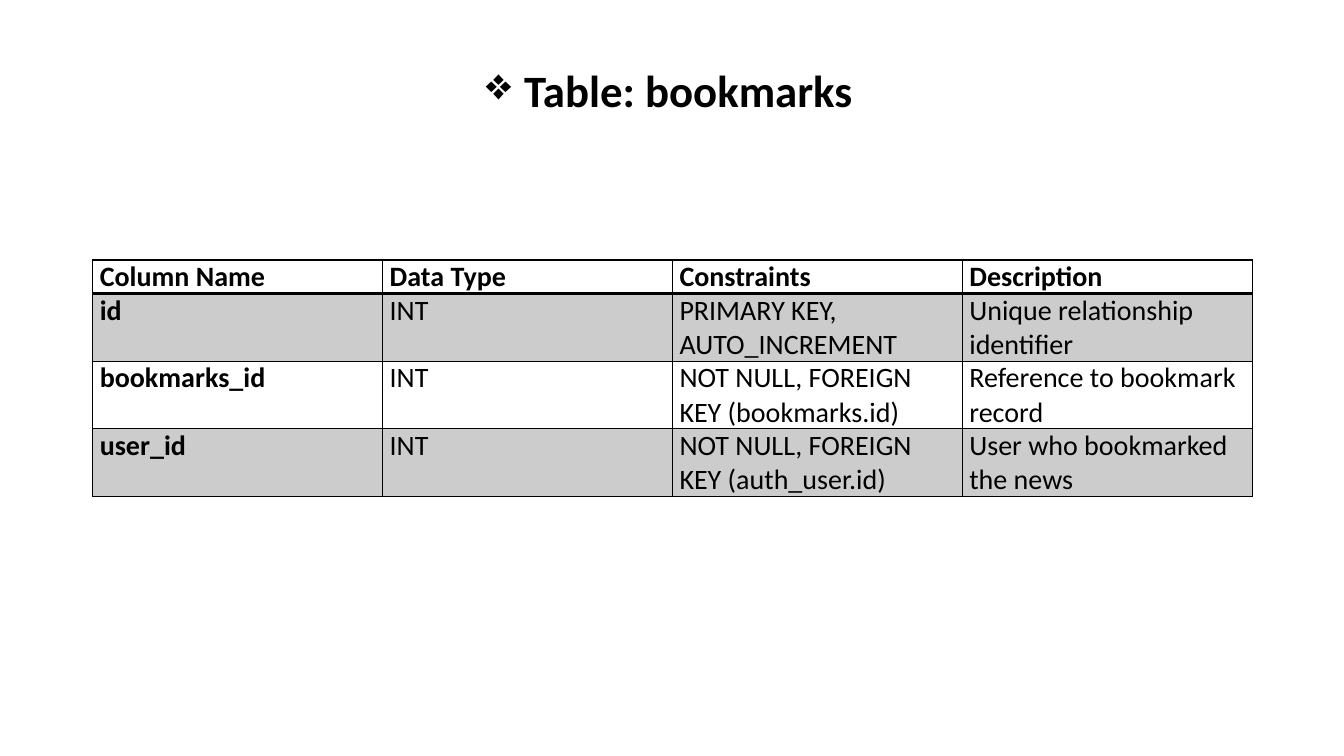
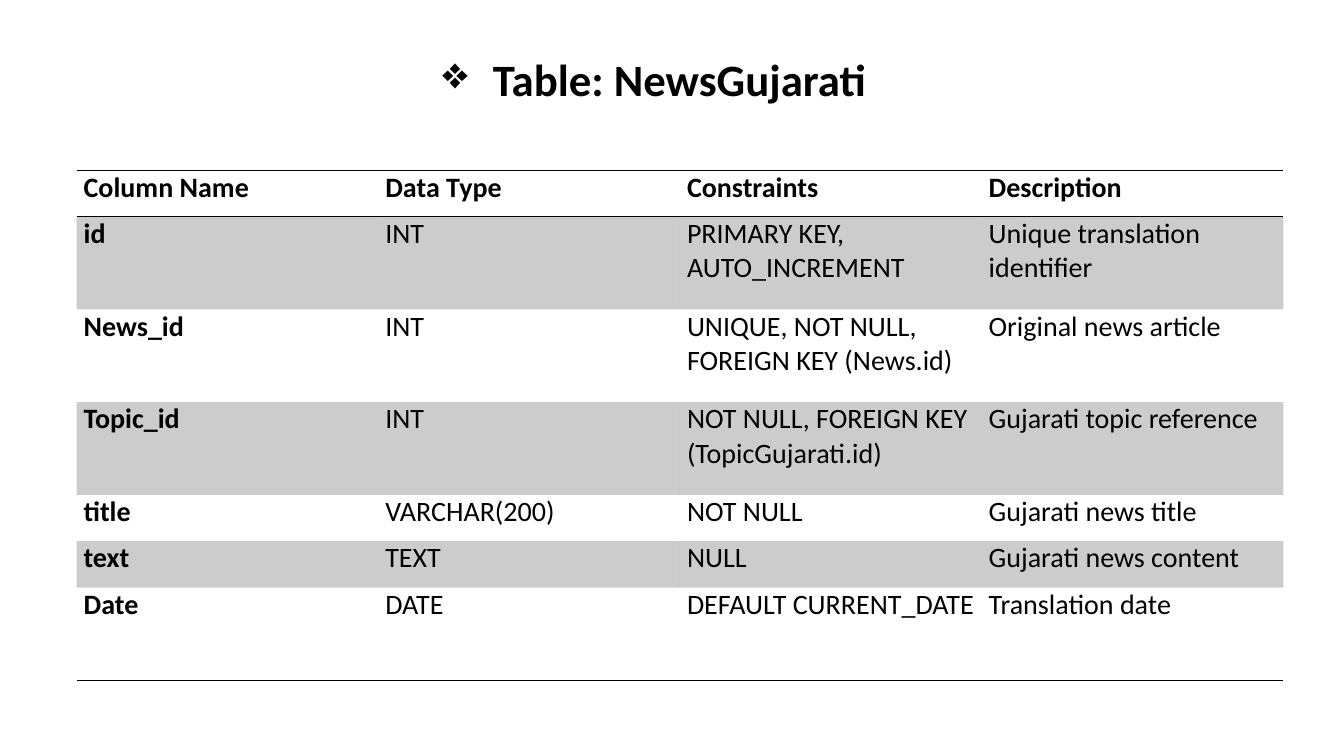
from lxml import etree
from pptx import Presentation
from pptx.dml.color import RGBColor
from pptx.enum.text import MSO_AUTO_SIZE as AutoSize
from pptx.oxml.ns import qn
from pptx.util import Inches, Pt

FONT = "Calibri"
BLACK = "000000"
BAND_OPACITY = 20
TITLE_SIZE, CELL_SIZE = 32, 20
TITLE_HEIGHT = 0.64
CELL_MARGIN = 0.07
NO_STYLE = "{2D5ABB26-0587-4C30-8999-92F81FD0307C}"
HEADER = ("Column Name", "Data Type", "Constraints", "Description")

BOOKMARKS = (
    ("id", "INT", "PRIMARY KEY, AUTO_INCREMENT", "Unique relationship identifier"),
    ("bookmarks_id", "INT", "NOT NULL, FOREIGN KEY (bookmarks.id)",
     "Reference to bookmark record"),
    ("user_id", "INT", "NOT NULL, FOREIGN KEY (auth_user.id)",
     "User who bookmarked the news"),
)
NEWS_GUJARATI = (
    ("id", "INT", "PRIMARY KEY, AUTO_INCREMENT", "Unique translation identifier"),
    ("News_id", "INT", "UNIQUE, NOT NULL, FOREIGN KEY (News.id)",
     "Original news article"),
    ("Topic_id", "INT", "NOT NULL, FOREIGN KEY (TopicGujarati.id)",
     "Gujarati topic reference"),
    ("title", "VARCHAR(200)", "NOT NULL", "Gujarati news title"),
    ("text", "TEXT", "NULL", "Gujarati news content"),
    ("Date", "DATE", "DEFAULT CURRENT_DATE", "Translation date"),
)


def rgb(value):
    return RGBColor.from_string(value)


def write(frame, text, size=CELL_SIZE, bold=False, color=BLACK, bullet=None, hanging=0):
    paragraph = frame.paragraphs[0]
    if bullet:
        props = paragraph._p.get_or_add_pPr()
        props.set("marL", str(Inches(hanging)))
        props.set("indent", str(-Inches(hanging)))
        etree.SubElement(props, qn("a:buChar"), char=bullet)
    run = paragraph.add_run()
    run.text = text
    run.font.name = FONT
    run.font.size = Pt(size)
    run.font.bold = bold
    run.font.color.rgb = rgb(color)


def add_title(slide, text, left, top, width, hanging):
    title = slide.shapes.add_textbox(
        Inches(left), Inches(top), Inches(width), Inches(TITLE_HEIGHT))
    frame = title.text_frame
    frame.word_wrap = False
    frame.auto_size = AutoSize.SHAPE_TO_FIT_TEXT
    write(frame, text, size=TITLE_SIZE, bold=True, bullet="❖", hanging=hanging)


def set_borders(cell, widths):
    """Draw the sides named in widths (points); the schema order is L, R, T, B."""
    props = cell._tc.get_or_add_tcPr()
    for side in "LRTB":
        if side in widths:
            line = etree.SubElement(props, qn(f"a:ln{side}"), w=str(Pt(widths[side])))
            fill = etree.SubElement(line, qn("a:solidFill"))
            etree.SubElement(fill, qn("a:srgbClr"), val=BLACK)


def set_band(cell):
    cell.fill.solid()
    cell.fill.fore_color.rgb = rgb(BLACK)
    color = cell._tc.tcPr.find(qn("a:solidFill")).find(qn("a:srgbClr"))
    etree.SubElement(color, qn("a:alpha"), val=str(BAND_OPACITY * 1000))


def grid_borders(row, last):
    """Every side, with a heavier line under the header."""
    return {"L": 1, "R": 1, "T": 2 if row == 1 else 1, "B": 2 if row == 0 else 1}


def rule_borders(row, last):
    """Lines around the header and below the last row only."""
    if row == 0:
        return {"T": 1, "B": 1}
    return {"B": 1} if row == last else {}


def add_schema(slide, fields, left, top, width, heights, borders):
    rows = (HEADER, *fields)
    table = slide.shapes.add_table(
        len(rows), len(HEADER), Inches(left), Inches(top),
        Inches(width), Inches(sum(heights))).table
    table._tbl.tblPr.find(qn("a:tableStyleId")).text = NO_STYLE
    table.first_row = table.horz_banding = False
    for r, (texts, height) in enumerate(zip(rows, heights)):
        table.rows[r].height = Inches(height)
        for c, text in enumerate(texts):
            cell = table.cell(r, c)
            cell.margin_left = cell.margin_right = Inches(CELL_MARGIN)
            cell.margin_top = cell.margin_bottom = 0
            write(cell.text_frame, text, bold=r == 0 or c == 0)
            set_borders(cell, borders(r, len(fields)))
            if r % 2:
                set_band(cell)
            else:
                cell.fill.background()


def main():
    deck = Presentation()
    deck.slide_width, deck.slide_height = Inches(13.33), Inches(7.5)
    blank = deck.slide_layouts[6]

    # Bookmarks
    slide = deck.slides.add_slide(blank)
    add_title(slide, "Table: bookmarks", 4.72, 0.57, 3.89, hanging=0.38)
    add_schema(slide, BOOKMARKS, 0.92, 2.58, 11.5,
               [0.33] + [0.67] * 3, grid_borders)

    # Gujarati news: one-line rows are half as tall as two-line rows
    slide = deck.slides.add_slide(blank)
    add_title(slide, "Table: NewsGujarati", 4.29, 0.46, 4.44, hanging=0.5)
    add_schema(slide, NEWS_GUJARATI, 0.76, 1.69, 11.97,
               [0.46 * lines for lines in (1, 2, 2, 2, 1, 1, 2)], rule_borders)

    deck.save("out.pptx")


if __name__ == "__main__":
    main()
